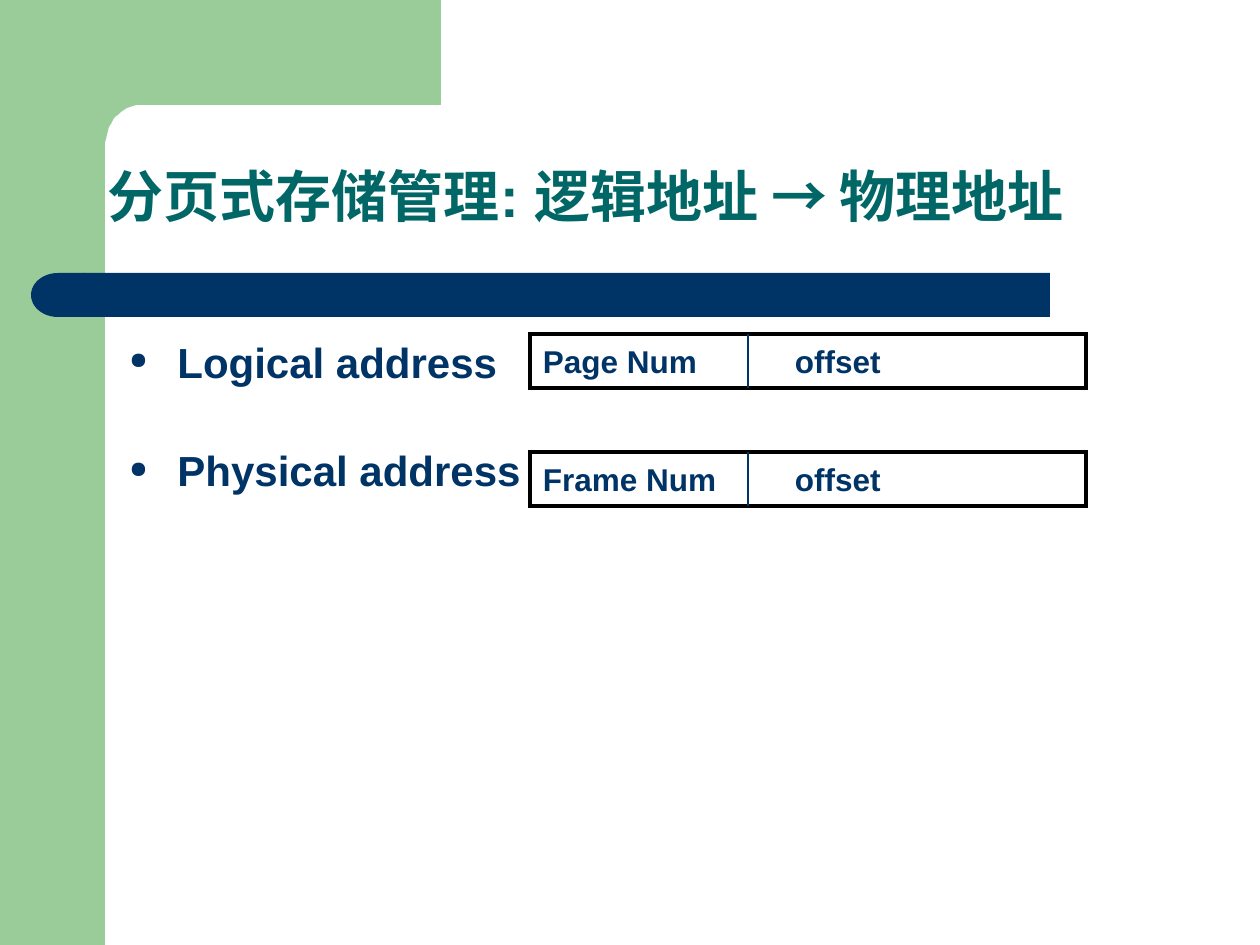
import dataclasses
import math

import lxml.etree
import pptx
import pptx.dml.color
import pptx.enum.shapes
import pptx.enum.text
import pptx.oxml.ns
import pptx.util

PX = 914400 / 126
SHAPE = pptx.enum.shapes.MSO_SHAPE
ANCHOR = pptx.enum.text.MSO_ANCHOR
RGB = pptx.dml.color.RGBColor.from_string
qn = pptx.oxml.ns.qn


@dataclasses.dataclass(frozen=True)
class Theme:
    font: str = "Arial"
    green: str = "99CC99"
    navy: str = "003366"
    teal: str = "006666"
    white: str = "FFFFFF"
    black: str = "000000"
    title: int = 32
    body: int = 24
    field: int = 18


THEME = Theme()


def emu(*lengths):
    return [pptx.util.Emu(round(n * PX)) for n in lengths]


def set_attrs(obj, values):
    for name, value in values.items():
        setattr(obj, name, value)


def paint(sp, fill=None, line=None, width=0):
    sp.shadow.inherit = False
    if fill:
        sp.fill.solid()
        sp.fill.fore_color.rgb = RGB(fill)
    else:
        sp.fill.background()
    if line:
        sp.line.color.rgb = RGB(line)
        sp.line.width = pptx.util.Pt(width)
        lxml.etree.SubElement(sp._element.spPr.find(qn("a:ln")), qn("a:miter"), lim="800000")
    else:
        sp.line.fill.background()


def add_shape(slide, kind, box, **style):
    sp = slide.shapes.add_shape(kind, *emu(*box))
    paint(sp, **style)
    return sp


def write(p, text, size, color, **paragraph):
    set_attrs(p, {"alignment": pptx.enum.text.PP_ALIGN.LEFT, **paragraph})
    r = p.add_run()
    r.text = text
    set_attrs(r.font, {"name": THEME.font, "size": pptx.util.Pt(size), "bold": True})
    r.font.color.rgb = RGB(color)


def add_bullet(p, indent):
    pPr = p._p.get_or_add_pPr()
    pPr.set("marL", str(indent))
    pPr.set("indent", str(-indent))
    color = lxml.etree.SubElement(pPr, qn("a:buClr"))
    lxml.etree.SubElement(color, qn("a:srgbClr"), val=THEME.navy)
    lxml.etree.SubElement(pPr, qn("a:buSzPct"), val="55000")
    lxml.etree.SubElement(pPr, qn("a:buChar"), char="●")


def add_tab_stop(p, position):
    tabs = lxml.etree.SubElement(p._p.get_or_add_pPr(), qn("a:tabLst"))
    lxml.etree.SubElement(tabs, qn("a:tab"), pos=str(position), algn="l")


def add_frame(slide, box):
    """Green side band, with a top block whose inner corner is rounded."""
    x, y, w, h = box
    band, block_left, block_right, block_bottom = 105, 63, 441, 161
    rx, ry, edge = 35, 42, 105
    add_shape(slide, SHAPE.RECTANGLE, (x, y, band, h), fill=THEME.green)
    arc = [(x + band + rx * (1 - math.sin(t)), y + edge + ry * (1 - math.cos(t)))
           for t in (math.pi / 2 * i / 16 for i in range(17))]
    builder = slide.shapes.build_freeform(x + block_right, y, scale=PX)
    builder.add_line_segments([
        (x + block_right, y + edge), *arc, (x + band, y + block_bottom),
        (x + block_left, y + block_bottom), (x + block_left, y)])
    paint(builder.convert_to_shape(), fill=THEME.green)


def add_title_bar(slide, box):
    x, y, w, h = box
    cap = 54
    bar = add_shape(slide, SHAPE.ROUNDED_RECTANGLE, (x + cap - 1, y, w - cap + 1, h),
                    fill=THEME.navy)
    bar.adjustments[0] = 0
    end = add_shape(slide, SHAPE.FLOWCHART_DELAY, (x, y, cap, h), fill=THEME.navy)
    end._element.spPr.find(qn("a:xfrm")).set("flipH", "1")


def set_title(slide, box, text):
    sp = slide.shapes.title
    set_attrs(sp, dict(zip(("left", "top", "width", "height"), emu(*box))))
    tf = sp.text_frame
    set_attrs(tf, {"word_wrap": True, "vertical_anchor": ANCHOR.BOTTOM,
                   "auto_size": pptx.enum.text.MSO_AUTO_SIZE.NONE})
    write(tf.paragraphs[0], text, THEME.title, THEME.teal, line_spacing=0.9)


def add_bullets(slide, box, items):
    sp = slide.shapes.add_textbox(*emu(*box))
    paint(sp, fill=THEME.white)
    tf = sp.text_frame
    tf.word_wrap = True
    indent, = emu(48)
    for i, text in enumerate(items):
        p = tf.add_paragraph() if i else tf.paragraphs[0]
        write(p, text, THEME.body, THEME.navy, line_spacing=0.9,
              space_before=pptx.util.Pt(36 if i else 5))
        add_bullet(p, indent)


def add_address(slide, box, fields):
    """Outlined box of two fields, split by a thin divider."""
    x, y, w, h = box
    split, inset, second_field = 218, 13, 265
    sp = add_shape(slide, SHAPE.RECTANGLE, box, line=THEME.black, width=2)
    tf = sp.text_frame
    set_attrs(tf, {"word_wrap": True, "vertical_anchor": ANCHOR.MIDDLE,
                   "margin_left": emu(inset)[0]})
    p = tf.paragraphs[0]
    write(p, "\t".join(fields), THEME.field, THEME.navy)
    add_tab_stop(p, emu(second_field - inset)[0])
    line = slide.shapes.add_connector(pptx.enum.shapes.MSO_CONNECTOR.STRAIGHT,
                                      *emu(x + split, y, x + split, y + h))
    line.line.color.rgb = RGB(THEME.navy)
    line.line.width = pptx.util.Pt(0.75)
    lxml.etree.SubElement(line._element.spPr, qn("a:effectLst"))


def main():
    prs = pptx.Presentation()
    prs.slide_width, prs.slide_height = emu(1260, 945)
    slide = prs.slides.add_slide(prs.slide_layouts[5])
    add_frame(slide, (0, 0, 1260, 945))
    add_title_bar(slide, (31, 273, 1019, 44))
    set_title(slide, (95, 125, 1121, 111), "分页式存储管理: 逻辑地址 → 物理地址")
    add_bullets(slide, (117, 336, 1029, 498), ("Logical address", "Physical address"))
    for i, name in enumerate(("Page Num", "Frame Num")):
        add_address(slide, (530, 334 + i * 118, 556, 54), (name, "offset"))
    prs.save("out.pptx")


if __name__ == "__main__":
    main()
